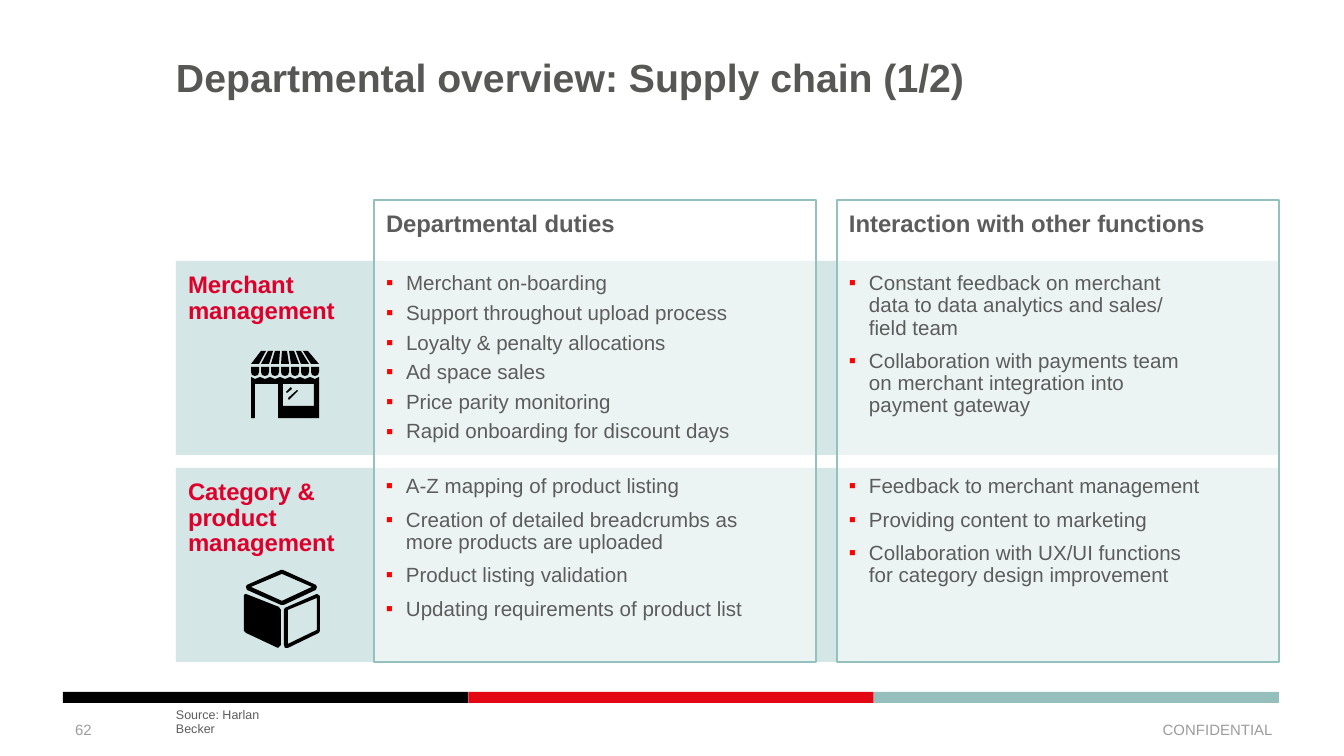
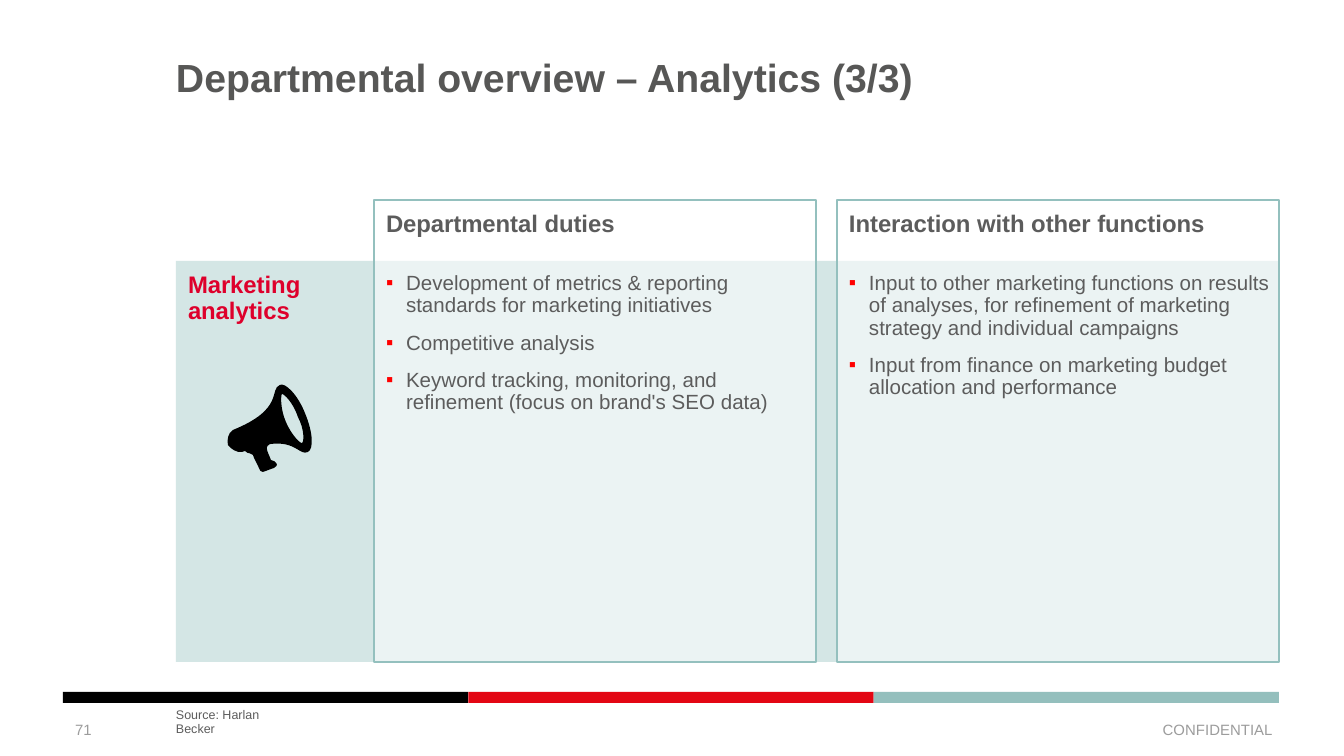
from itertools import chain
from lxml import etree
from pptx import Presentation
from pptx import util as u
from pptx.dml.color import RGBColor
from pptx.enum import shapes, text
from pptx.oxml.ns import qn

PX = 914400 / 134.4
FONT = "Arial"
HUES = {
    "black": "000000", "red": "E30613", "teal": "94BFBD", "edge": "94C0BE",
    "mint": "D4E6E5", "white": "FFFFFF", "title": "575756", "body": "5C5C5C",
    "label": "DE002B", "bullet": "FF0000", "muted": "9C9C9C",
}

# Shared boxes: left, top, width, height
TITLE = (176, 59, 1087, 126)
BAND = (63, 692, 1216, 11)
PAGE = (62, 710, 114, 40)
MARK = (972, 710, 314, 40)
SOURCE = (176, 723, 117, 13)
GRID = (176, 200, 1103, 462)
HEAD = 61                 # height of the column headings
LEAD = 198                # width of the row labels
COL, GAP = 442, 21        # column width and gap between columns
ROWGAP = 13
PAD = (12, 12, 0, 0)


def px(n):
    return u.Emu(round(n * PX))


def hue(name):
    return RGBColor.from_string(HUES[name])


def write(frame, words, size, color, bold=False, pad=None, space=0.9, align=None,
          anchor=text.MSO_ANCHOR.TOP):
    """Fill a frame with one paragraph for each line of words."""
    frame.word_wrap = True
    frame.vertical_anchor = anchor
    if pad:
        sides = ("margin_left", "margin_top", "margin_right", "margin_bottom")
        for side, n in zip(sides, pad):
            setattr(frame, side, px(n))
    frame.text = words
    for para in frame.paragraphs:
        para.alignment = align or text.PP_ALIGN.LEFT
        para.line_spacing = space
        for run in para.runs:
            font = run.font
            font.name, font.size, font.bold = FONT, u.Pt(size), bold
            font.color.rgb = hue(color)


def note(slide, box, words, size, color, **look):
    frame = slide.shapes.add_textbox(*map(px, box)).text_frame
    write(frame, words, size, color, **look)
    return frame


def paint(shape, fill, line=None):
    shape.shadow.inherit = False
    shape.fill.solid()
    shape.fill.fore_color.rgb = hue(fill)
    if line:
        shape.line.color.rgb = hue(line)
        shape.line.width = u.Pt(1.25)
    else:
        shape.line.fill.background()


def block(slide, box, fill, line=None):
    shape = slide.shapes.add_shape(shapes.MSO_SHAPE.RECTANGLE, *map(px, box))
    paint(shape, fill, line)
    return shape


def fade(shape, share):
    """Make the fill of a shape see-through."""
    tint = shape._element.spPr.find(qn("a:solidFill")).find(qn("a:srgbClr"))
    etree.SubElement(tint, qn("a:alpha")).set("val", str(share * 1000))


def dot(para):
    """Give a paragraph a square bullet and a hanging indent."""
    props = para._p.get_or_add_pPr()
    props.set("marL", str(px(20)))
    props.set("indent", str(-px(20)))
    tint = etree.SubElement(props, qn("a:buClr"))
    etree.SubElement(tint, qn("a:srgbClr")).set("val", HUES["bullet"])
    etree.SubElement(props, qn("a:buFont")).set("typeface", FONT)
    etree.SubElement(props, qn("a:buChar")).set("char", "▪")


def points(slide, box, items, before=6, after=0):
    frame = note(slide, box, "\n".join(items), 11, "body", pad=PAD)
    for i, para in enumerate(frame.paragraphs):
        dot(para)
        para.space_before = u.Pt(before if i else 0)
        para.space_after = u.Pt(after)


# Icons: each draws its outlines from the corner it is given

def trace(parent, left, top, lines, curved=False):
    """Draw closed outlines as one shape; curved ones list cubic points."""
    pen = None
    for line in lines:
        pts = [(left + x, top + y) for x, y in line]
        if pen is None:
            pen = parent.shapes.build_freeform(*pts[0], scale=PX)
        else:
            pen.move_to(*pts[0])
        pen.add_line_segments(pts[1:], close=True)
    shape = pen.convert_to_shape()
    paint(shape, "black")
    if curved:
        legs = list(shape._element.spPr.iter(qn("a:lnTo")))
        for i in range(0, len(legs), 3):
            arc = etree.Element(qn("a:cubicBezTo"))
            legs[i].addprevious(arc)
            for leg in legs[i:i + 3]:
                arc.append(leg[0])
                leg.getparent().remove(leg)


def shop(slide, left, top):
    group = slide.shapes.add_group_shape()
    wall = [(0, 26)]
    for i in range(7):
        x, tip = 10 * i, 10 + 7 * i
        stripe = [(tip, 0), (tip + 5, 0), (x + 8, 13), (x, 13)]
        flap = [(x, 16), (x + 8, 16), (x + 8, 21), (x + 7, 24),
                (x + 4, 25), (x + 1, 24), (x, 21)]
        for line in (stripe, flap):
            trace(group, left, top, [line])
        wall += [(x + 4, 28), (min(x + 9, 68), 26)]
    wall += [(68, 67), (27, 67), (27, 33), (4, 33), (4, 67), (0, 67)]
    pane = [(32, 33), (32, 55), (63, 55), (63, 33)]
    trace(group, left, top, [wall, pane])
    for glint in ([(35, 41), (40, 36), (41, 38), (36, 42)],
                  [(37, 47), (46, 39), (47, 40), (38, 49)]):
        trace(group, left, top, [glint])


def crate(slide, left, top):
    trace(slide, left, top, [
        [(0, 25), (2, 24), (35, 37), (37, 40), (37, 75), (34, 78), (2, 63), (0, 61)],
        [(73, 24), (76, 26), (76, 61), (75, 63), (44, 78), (41, 78), (40, 75),
         (40, 40), (41, 38)],
        [(73, 28), (44, 40), (44, 74), (73, 60)],
        [(37, 0), (39, 0), (72, 15), (73, 17), (72, 20), (40, 35), (37, 35),
         (3, 20), (2, 17), (3, 15)],
        [(38, 4), (7, 17), (38, 31), (68, 17)],
    ])


def horn(slide, left, top):
    body = [
        ((70, 12), (57, -1), (52, 2)), ((41, 6), (57, 26), (5, 47)),
        ((0, 50), (-1, 57), (0, 62)), ((3, 66), (9, 70), (14, 69)),
        ((14, 69), (17, 68), (17, 68)), ((21, 72), (23, 69), (25, 72)),
        ((26, 76), (30, 82), (31, 85)), ((31, 88), (34, 89), (35, 89)),
        ((38, 88), (43, 86), (46, 85)), ((49, 84), (49, 82), (49, 81)),
        ((48, 78), (45, 78), (43, 77)), ((42, 74), (39, 68), (39, 66)),
        ((38, 64), (41, 61), (43, 61)), ((68, 58), (72, 73), (80, 69)),
        ((86, 66), (85, 49), (77, 30))]
    mouth = [
        ((73, 61), (64, 53), (58, 39)), ((52, 25), (53, 12), (54, 11)),
        ((56, 11), (65, 19), (70, 34)), ((77, 47), (76, 60), (74, 60))]
    loops = [[arcs[-1][-1], *chain(*arcs)] for arcs in (body, mouth)]
    trace(slide, left, top, loops, curved=True)


# Regions of the slide

def frame(slide, title, page):
    """Title, tricolour band and footer."""
    note(slide, TITLE, title, 21, "title", bold=True, pad=(0, 0, 0, 0))
    x, y, w, h = BAND
    for i, fill in enumerate(("black", "red", "teal")):
        block(slide, (x + i * w / 3, y, w / 3, h), fill)
    mid = text.MSO_ANCHOR.MIDDLE
    note(slide, MARK, "CONFIDENTIAL", 8, "muted", space=1, anchor=mid,
         align=text.PP_ALIGN.RIGHT)
    note(slide, PAGE, page, 8, "muted", space=1, anchor=mid)
    note(slide, SOURCE, "Source: Harlan Becker", 6.75, "body", pad=(0, 0, 0, 0),
         anchor=text.MSO_ANCHOR.BOTTOM)


def matrix(slide, box, rows):
    """Labelled rows crossed by two see-through columns."""
    x, y, w, h = box
    tall = (h - HEAD - ROWGAP * (len(rows) - 1)) // len(rows)
    tops = [y + HEAD + i * (tall + ROWGAP) for i in range(len(rows))]
    lefts = [x + LEAD + i * (COL + GAP) for i in range(2)]

    # Row bands with their labels
    for top, row in zip(tops, rows):
        band = block(slide, (x, top, w, tall), "mint")
        write(band.text_frame, row["label"], 12.75, "label", bold=True, pad=PAD)

    # Columns with their headings
    heads = ("Departmental duties", "Interaction with other functions")
    for left, head in zip(lefts, heads):
        col = block(slide, (left, y, COL, h), "white", "edge")
        fade(col, 55)
        write(col.text_frame, head, 12.75, "body", bold=True, pad=(12, 12, 0, 8))

    # Icons and bullet lists
    for top, row in zip(tops, rows):
        dx, dy, draw = row["icon"]
        draw(slide, x + dx, top + dy)
        for left, (wide, high, look, items) in zip(lefts, row["lists"]):
            points(slide, (left, top + row.get("shift", 0), wide, high), items, **look)


def build(deck, title, page, rows):
    slide = deck.slides.add_slide(deck.slide_layouts[6])
    frame(slide, title, page)
    matrix(slide, GRID, rows)


SUPPLY = [
    {"label": "Merchant \vmanagement", "icon": (75, 90, shop), "lists": [
        (442, 184, {"before": 4}, [
            "Merchant on-boarding", "Support throughout upload process",
            "Loyalty & penalty allocations", "Ad space sales",
            "Price parity monitoring", "Rapid onboarding for discount days"]),
        (366, 157, {}, [
            "Constant feedback on merchant data to data analytics and sales/ field team",
            "Collaboration with payments team on merchant integration into "
            "payment gateway"])]},
    {"label": "Category & \vproduct \vmanagement", "icon": (68, 102, crate),
     "shift": -4, "lists": [
        (392, 157, {}, [
            "A-Z mapping of product listing",
            "Creation of detailed breadcrumbs as more products are uploaded",
            "Product listing validation", "Updating requirements of product list"]),
        (366, 124, {}, [
            "Feedback to merchant management", "Providing content to marketing",
            "Collaboration with UX/UI functions for category design improvement"])]},
]

ANALYTICS = [
    {"label": "Marketing \vanalytics", "icon": (52, 122, horn), "lists": [
        (442, 155, {"after": 2}, [
            "Development of metrics & reporting standards for marketing initiatives",
            "Competitive analysis",
            "Keyword tracking, monitoring, and refinement "
            "(focus on brand's SEO data)"]),
        (442, 138, {"after": 2}, [
            "Input to other marketing functions on results of analyses, "
            "for refinement of marketing strategy and individual campaigns",
            "Input from finance on marketing budget allocation and performance"])]},
]


def main():
    deck = Presentation()
    deck.slide_width, deck.slide_height = px(1344), px(756)
    build(deck, "Departmental overview: Supply chain (1/2)", "62", SUPPLY)
    build(deck, "Departmental overview – Analytics (3/3)", "71", ANALYTICS)
    deck.save("out.pptx")


if __name__ == "__main__":
    main()
